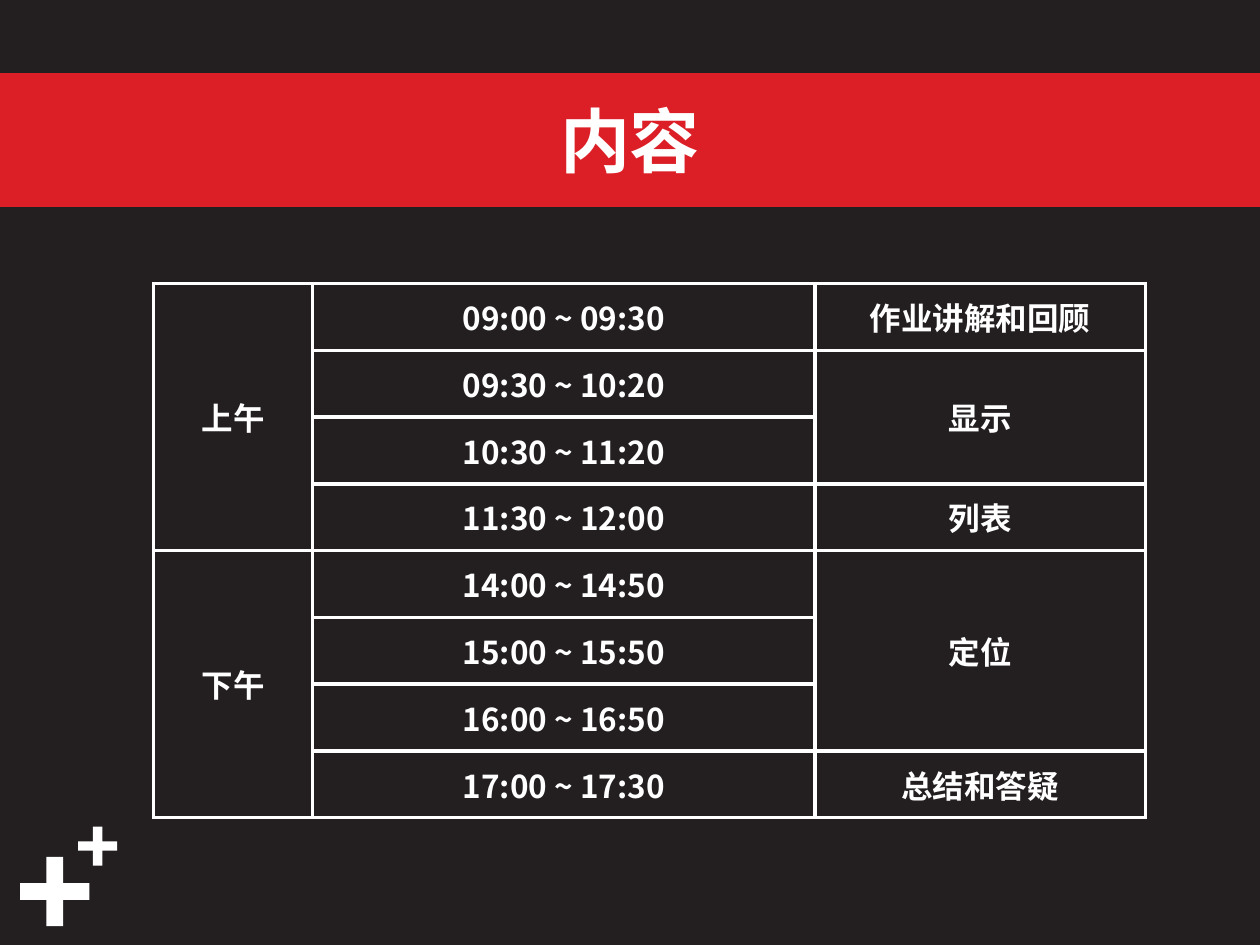
from lxml import etree
from pptx import Presentation
from pptx.dml.color import RGBColor
from pptx.enum.shapes import MSO_SHAPE
from pptx.enum.text import MSO_ANCHOR, PP_ALIGN
from pptx.oxml.ns import qn
from pptx.util import Inches, Pt

PLUS, RECTANGLE = MSO_SHAPE.CROSS, MSO_SHAPE.RECTANGLE
MIDDLE, CENTER = MSO_ANCHOR.MIDDLE, PP_ALIGN.CENTER
BLACK, RED, WHITE = "231F20", "DC1F26", "FFFFFF"

# Each schedule column lists (text, number of rows it spans)
SCHEDULE = [
    [("上午", 4), ("下午", 4)],
    [("09:00 ~ 09:30", 1), ("09:30 ~ 10:20", 1), ("10:30 ~ 11:20", 1),
     ("11:30 ~ 12:00", 1), ("14:00 ~ 14:50", 1), ("15:00 ~ 15:50", 1),
     ("16:00 ~ 16:50", 1), ("17:00 ~ 17:30", 1)],
    [("作业讲解和回顾", 1), ("显示", 2), ("列表", 1), ("定位", 3), ("总结和答疑", 1)],
]
COLUMN_WIDTHS = [1.26, 3.99, 2.62]
ROW_COUNT, ROW_HEIGHT = 8, 0.53


def color(hex_string):
    return RGBColor.from_string(hex_string)


class SlideBuilder:
    font_name = "Noto Sans CJK SC"
    text_color = WHITE
    border_width = Pt(2.25)

    def __init__(self, slide):
        self.slide = slide

    def background(self, fill):
        self.slide.background.fill.solid()
        self.slide.background.fill.fore_color.rgb = color(fill)

    def shape(self, kind, left, top, width, height, fill, line_width=0):
        shape = self.slide.shapes.add_shape(
            kind, Inches(left), Inches(top), Inches(width), Inches(height))
        shape.shadow.inherit = False
        shape.fill.solid()
        shape.fill.fore_color.rgb = color(fill)
        if line_width:
            shape.line.color.rgb = color(fill)
            shape.line.width = Pt(line_width)
        else:
            shape.line.fill.background()
        return shape

    def plus(self, left, top, size):
        shape = self.shape(PLUS, left, top, size, size, WHITE)
        shape.adjustments[0] = 0.38

    def text(self, text_frame, text, size):
        paragraph = text_frame.paragraphs[0]
        paragraph.alignment = CENTER
        run = paragraph.add_run()
        run.text = text
        run.font.size = Pt(size)
        run.font.bold = True
        run.font.color.rgb = color(self.text_color)
        run.font.name = self.font_name
        east_asian = etree.SubElement(run.font._element, qn("a:ea"))
        east_asian.set("typeface", self.font_name)

    def banner(self, text, left, top, width, height):
        shape = self.shape(RECTANGLE, left, top, width, height, RED, line_width=3)
        shape.text_frame.vertical_anchor = MIDDLE
        self.text(shape.text_frame, text, 40)

    def cell_style(self, cell):
        cell.fill.background()
        cell.vertical_anchor = MIDDLE
        properties = cell._tc.get_or_add_tcPr()
        for index, side in enumerate(("lnL", "lnR", "lnT", "lnB")):
            line = etree.Element(qn("a:" + side), w=str(self.border_width))
            fill = etree.SubElement(line, qn("a:solidFill"))
            etree.SubElement(fill, qn("a:srgbClr"), val=WHITE)
            properties.insert(index, line)

    def table(self, columns, left, top, widths, row_count, row_height):
        table = self.slide.shapes.add_table(
            row_count, len(columns), Inches(left), Inches(top),
            Inches(sum(widths)), Inches(row_count * row_height)).table
        table.first_row = table.horz_banding = False
        for column, width in zip(table.columns, widths):
            column.width = Inches(width)
        for row in table.rows:
            row.height = Inches(row_height)
        for cell in table.iter_cells():
            self.cell_style(cell)
        for column_index, entries in enumerate(columns):
            row_index = 0
            for text, span in entries:
                cell = table.cell(row_index, column_index)
                row_index += span
                if span > 1:
                    cell.merge(table.cell(row_index - 1, column_index))
                self.text(cell.text_frame, text, 18)


def main():
    presentation = Presentation()
    presentation.slide_width = Inches(10)
    presentation.slide_height = Inches(7.5)
    builder = SlideBuilder(
        presentation.slides.add_slide(presentation.slide_layouts[6]))

    # Background and corner ornament
    builder.background(BLACK)
    builder.plus(0.16, 6.8, 0.55)
    builder.plus(0.62, 6.56, 0.31)

    # Title banner
    builder.banner("内容", 0, 0.6, 10, 1.02)

    # Day schedule
    builder.table(SCHEDULE, 1.22, 2.25, COLUMN_WIDTHS, ROW_COUNT, ROW_HEIGHT)

    presentation.save("out.pptx")


if __name__ == "__main__":
    main()
